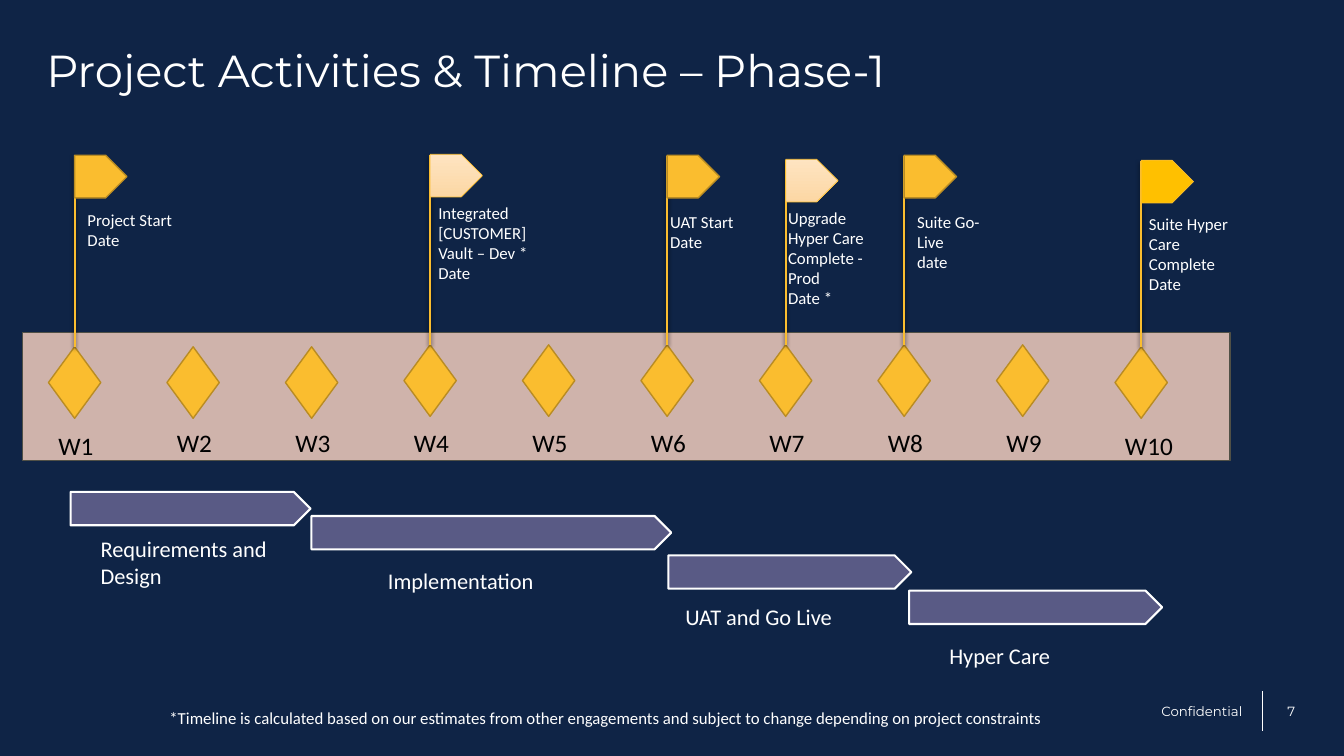
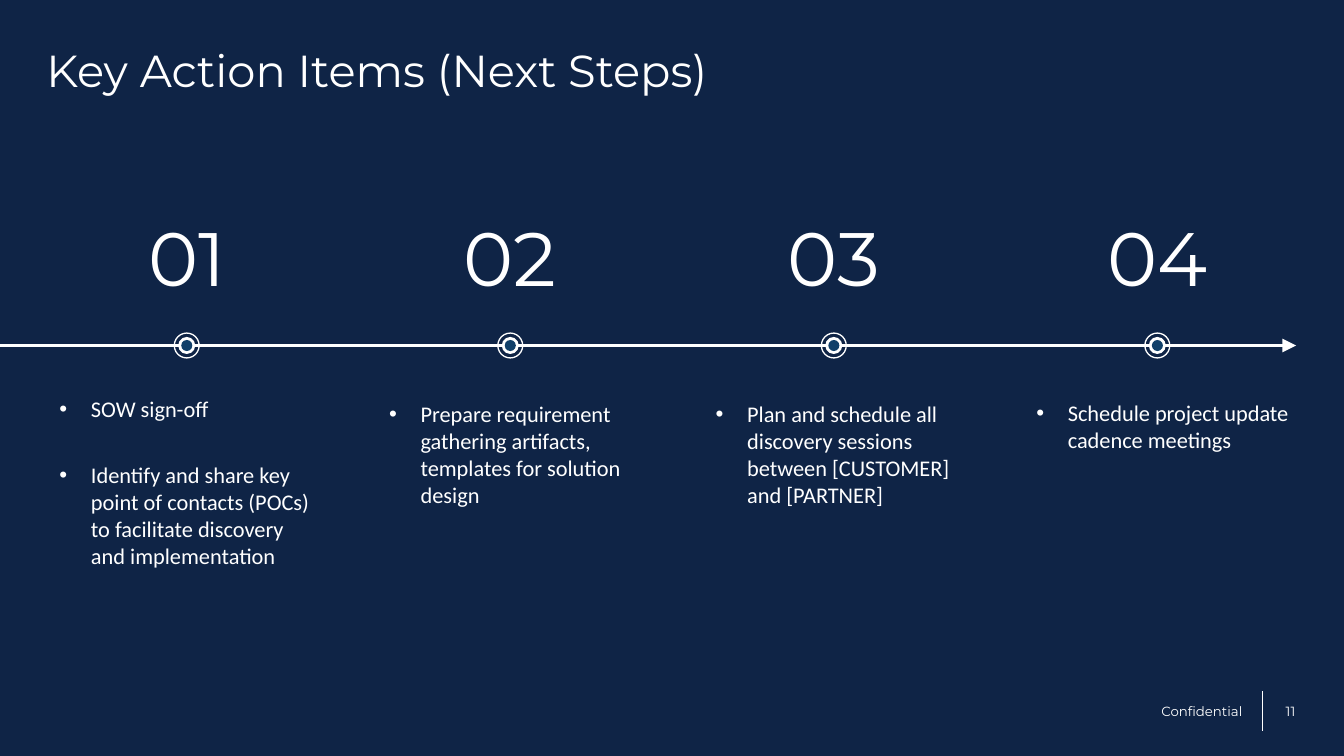
from lxml.etree import SubElement
from pptx import Presentation
from pptx.dml.color import RGBColor
from pptx.enum.shapes import MSO_CONNECTOR, MSO_SHAPE
from pptx.enum.text import MSO_ANCHOR, PP_ALIGN
from pptx.oxml.ns import qn
from pptx.util import Pt

NAVY = RGBColor(0x0F, 0x24, 0x46)
WHITE = RGBColor(0xFF, 0xFF, 0xFF)
BLACK = RGBColor(0x00, 0x00, 0x00)
GOLD = RGBColor(0xFA, 0xBD, 0x2F)
DARK_GOLD = RGBColor(0xB9, 0x8C, 0x23)
AMBER = RGBColor(0xFF, 0xC0, 0x00)
CREAM = RGBColor(0xFE, 0xE4, 0xC1)
PEACH = RGBColor(0xFC, 0xD7, 0xA4)
ROSE = RGBColor(0xCF, 0xB3, 0xAB)
OLIVE = RGBColor(0x50, 0x50, 0x46)
PURPLE = RGBColor(0x59, 0x5A, 0x85)
BLUE = RGBColor(0x10, 0x3F, 0x69)

HEADING_FONT, BODY_FONT = "Montserrat", "Calibri"
TEXT_BOX_INSETS = (7.2, 3.6)

TIMELINE_TITLE = "Project Activities & Timeline – Phase-1"
FOOTNOTE = ("*Timeline is calculated based on our estimates from other engagements "
            "and subject to change depending on project constraints")
WEEK_COUNT = 10
LOWERED_DIAMONDS = {1, 2, 3, 10}
LOWERED_LABELS = {1, 10}
FIRST_WEEK_X, WEEK_STEP = 53.3, 84.65

# flag style: fill colours (two make a gradient), line colour, line width
REGULAR = ((GOLD,), DARK_GOLD, 1)
PALE = ((CREAM, PEACH), GOLD, 0.5)
BRIGHT = ((AMBER,), GOLD, 0.5)

# week, flag top, flag style, label (left, top, width), label text
MILESTONES = [
    (1, 110.9, REGULAR, (55.4, 146.2, 80.6), "Project Start\nDate"),
    (4, 110.2, PALE, (306, 141.1, 119.5), "Integrated [CUSTOMER]\nVault – Dev *\nDate"),
    (6, 110.9, REGULAR, (471.6, 147.6, 80.6), "UAT Start\nDate"),
    (7, 113.8, PALE, (555.8, 144.7, 85.7),
     "Upgrade\nHyper Care\nComplete - Prod\nDate *"),
    (8, 110.9, REGULAR, (648, 147.6, 74.2), "Suite Go-Live\ndate"),
    (10, 114.5, BRIGHT, (813.6, 149, 80.6), "Suite Hyper Care\nComplete\nDate"),
]

# bar (left, top, width), label (left, top, width), label text
PHASES = [
    ((50.4, 351.4, 171.4), (64.8, 378.7, 134), "Requirements and Design"),
    ((222.5, 368.6, 257), (270, 401.8, 147.6), "Implementation"),
    ((477.4, 396.7, 173.5), (482.4, 427, 147.6), "UAT and Go Live"),
    ((649.4, 421.9, 180.7), (671, 455, 137.5), "Hyper Care"),
]

STEPS_TITLE = "Key Action Items (Next Steps)"
FIRST_STEP_X, STEP_GAP, STEP_LINE_Y = 133.4, 231.1, 246.8

# text left, text top, bullet items
STEPS = [
    (42.5, 282.2, ["SOW sign-off",
                   "Identify and share key point of contacts (POCs) to facilitate "
                   "discovery and implementation"]),
    (277.9, 285.8, ["Prepare requirement gathering artifacts, templates for "
                    "solution design"]),
    (511.2, 285.8, ["Plan and schedule all discovery sessions between [CUSTOMER] "
                    "and [PARTNER]"]),
    (740.2, 285.1, ["Schedule project update cadence meetings"]),
]


def add_text(slide, text, box, size, color=WHITE, font=BODY_FONT, insets=(0, 0),
             align=PP_ALIGN.LEFT, anchor=MSO_ANCHOR.TOP):
    shape = slide.shapes.add_textbox(*map(Pt, box))
    frame = shape.text_frame
    frame.word_wrap = True
    frame.vertical_anchor = anchor
    frame.margin_left = frame.margin_right = Pt(insets[0])
    frame.margin_top = frame.margin_bottom = Pt(insets[1])
    frame.text = text
    for paragraph in frame.paragraphs:
        paragraph.alignment = align
        for run in paragraph.runs:
            run.font.size = Pt(size)
            run.font.name = font
            run.font.color.rgb = color
    return shape


def add_shape(shapes, kind, box, fills, line=None, line_width=1):
    """Add a preset shape; two fill colours make a top-to-bottom gradient."""
    shape = shapes.add_shape(kind, *map(Pt, box))
    shape.shadow.inherit = False
    if len(fills) == 1:
        shape.fill.solid()
        shape.fill.fore_color.rgb = fills[0]
    else:
        shape.fill.gradient()
        shape.fill.gradient_angle = 270
        for stop, color in zip(shape.fill.gradient_stops, fills):
            stop.color.rgb = color
    if line is None:
        shape.line.fill.background()
    else:
        shape.line.color.rgb = line
        shape.line.width = Pt(line_width)
    return shape


def add_line(slide, start, end, color, width, arrow=False, shadow=False):
    connector = slide.shapes.add_connector(
        MSO_CONNECTOR.STRAIGHT, *map(Pt, (*start, *end)))
    connector.line.color.rgb = color
    connector.line.width = Pt(width)
    properties = connector._element.spPr
    if arrow:
        SubElement(properties.find(qn("a:ln")), qn("a:tailEnd"), type="triangle",
                   w="lg", len="lg")
    effects = SubElement(properties, qn("a:effectLst"))
    if shadow:
        outer = SubElement(effects, qn("a:outerShdw"), blurRad=str(Pt(3)),
                           dist=str(Pt(1)), dir="5400000", rotWithShape="0")
        black = SubElement(outer, qn("a:srgbClr"), val=str(BLACK))
        SubElement(black, qn("a:alpha"), val="63000")


def add_bullets(shape, indent, space_after):
    for paragraph in shape.text_frame.paragraphs:
        paragraph.space_after = Pt(space_after)
        properties = paragraph._p.get_or_add_pPr()
        properties.set("marL", str(Pt(indent)))
        properties.set("indent", str(-Pt(indent)))
        SubElement(properties, qn("a:buFont"), typeface="Arial")
        SubElement(properties, qn("a:buChar"), char="•")


def add_base_slide(presentation, title, number):
    """Add a slide with the shared background, title and footer."""
    slide = presentation.slides.add_slide(presentation.slide_layouts[6])
    slide.background.fill.solid()
    slide.background.fill.fore_color.rgb = NAVY
    add_text(slide, title, (33.1, 34.2, 893.5, 34.6), 32, font=HEADING_FONT,
             anchor=MSO_ANCHOR.BOTTOM)
    add_line(slide, (901.8, 493.6), (901.8, 522.4), WHITE, 0.75)
    for text, left, width in (("Confidential", 786.6, 115.2),
                              (str(number), 892.8, 46.8)):
        add_text(slide, text, (left, 493.6, width, 28.8), 9.5, font=HEADING_FONT,
                 insets=(14.4, 3.6), align=PP_ALIGN.RIGHT, anchor=MSO_ANCHOR.MIDDLE)
    return slide


def week_x(week):
    return FIRST_WEEK_X + (week - 1) * WEEK_STEP


def diamond_top(week):
    return 247.7 if week in LOWERED_DIAMONDS else 246.3


def build_timeline(presentation):
    slide = add_base_slide(presentation, TIMELINE_TITLE, 7)
    add_text(slide, FOOTNOTE, (121, 505.8, 707, 28.8), 12)
    add_shape(slide.shapes, MSO_SHAPE.RECTANGLE, (16.1, 237.6, 862.6, 91.4),
              (ROSE,), OLIVE)

    for week in range(1, WEEK_COUNT + 1):
        left = week_x(week) - 18.7
        add_shape(slide.shapes, MSO_SHAPE.DIAMOND,
                  (left, diamond_top(week), 37.4, 51.1), (GOLD,), DARK_GOLD)
        label_top = 303.8 if week in LOWERED_LABELS else 301.7
        add_text(slide, f"W{week}", (left, label_top, 55.4, 28.8), 18, BLACK,
                 insets=TEXT_BOX_INSETS)

    for week, flag_top, style, (left, top, width), text in MILESTONES:
        pole_x = week_x(week)
        add_line(slide, (pole_x, flag_top + 0.5), (pole_x, diamond_top(week)),
                 GOLD, 1.5, shadow=True)
        add_shape(slide.shapes, MSO_SHAPE.PENTAGON,
                  (pole_x, flag_top, 37.4, 30.5), *style)
        add_text(slide, text, (left, top, width, 36), 12, insets=TEXT_BOX_INSETS)

    for bar, label, text in PHASES:
        add_shape(slide.shapes, MSO_SHAPE.PENTAGON, (*bar, 23.8), (PURPLE,), WHITE, 1.5)
        add_text(slide, text, (*label, 26.6), 16, insets=TEXT_BOX_INSETS)


def add_step_marker(slide, x, y):
    group = slide.shapes.add_group_shape()
    for kind, size, color in ((MSO_SHAPE.OVAL, 12.2, WHITE),
                              (MSO_SHAPE.OVAL, 7.9, BLUE),
                              (MSO_SHAPE.DONUT, 18.7, WHITE)):
        circle = add_shape(group.shapes, kind,
                           (x - size / 2, y - size / 2, size, size), (color,))
        if kind == MSO_SHAPE.DONUT:
            circle.adjustments[0] = 0.05


def build_steps(presentation):
    slide = add_base_slide(presentation, STEPS_TITLE, 11)
    add_line(slide, (0, STEP_LINE_Y), (925.9, STEP_LINE_Y), WHITE, 1.5, arrow=True)
    for index, (left, top, items) in enumerate(STEPS):
        x = FIRST_STEP_X + index * STEP_GAP
        add_text(slide, f"{index + 1:02}", (x - 48, 150.5, 96, 65.5), 54,
                 font=HEADING_FONT, align=PP_ALIGN.CENTER)
        add_step_marker(slide, x, STEP_LINE_Y)
        body = add_text(slide, "\n".join(items), (left, top, 181.4, 80), 16)
        add_bullets(body, indent=22.5, space_after=28)


def main():
    presentation = Presentation()
    presentation.slide_width = Pt(960)
    presentation.slide_height = Pt(540)
    build_timeline(presentation)
    build_steps(presentation)
    presentation.save("out.pptx")


if __name__ == "__main__":
    main()
